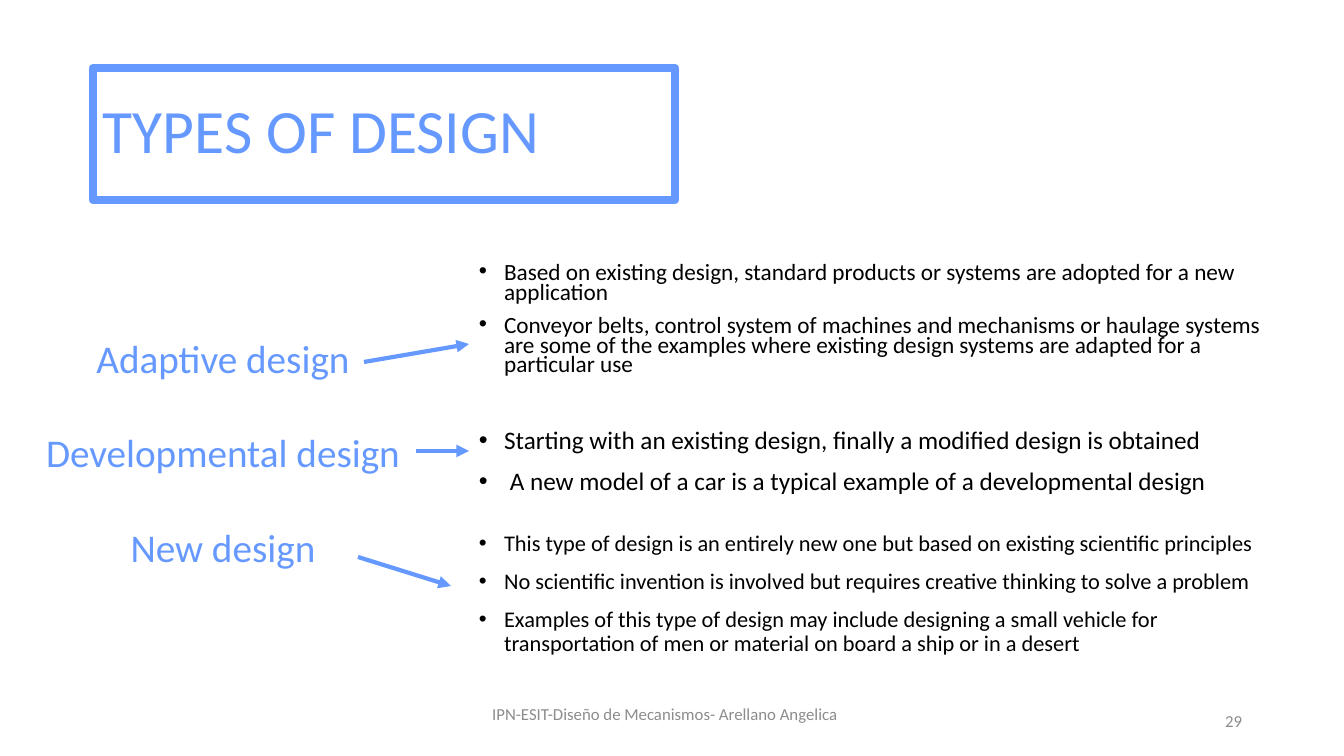
from pptx import Presentation
from pptx.dml.color import RGBColor
from pptx.enum import shapes, text
from pptx.oxml import parse_xml
from pptx.oxml import ns
from pptx.util import Pt

SCALE = 12192000 / 1344
BLUE, BLACK, GRAY = "6699FF", "000000", "8C8C8C"
ALIGN, ANCHOR = text.PP_ALIGN, text.MSO_ANCHOR


def px(*values):
    return [round(v * SCALE) for v in values]


def write(s, lines, size, color, align=ALIGN.LEFT, anchor=ANCHOR.TOP,
          spacing=1.0, before=0, bullet=False):
    tf = s.text_frame
    tf.word_wrap = True
    tf.vertical_anchor = anchor
    for i, line in enumerate(lines):
        p = tf.add_paragraph() if i else tf.paragraphs[0]
        p.alignment = align
        p.line_spacing = spacing
        p.space_before = Pt(before if i else 0)
        if bullet:
            pPr = p._p.get_or_add_pPr()
            pPr.set("marL", "228600")
            pPr.set("indent", "-228600")
            pPr.append(parse_xml(f'<a:buFont {ns.nsdecls("a")} typeface="Arial"/>'))
            pPr.append(parse_xml(f'<a:buChar {ns.nsdecls("a")} char="•"/>'))
        r = p.add_run()
        r.text = line
        r.font.name = "Calibri"
        r.font.size = Pt(size)
        r.font.color.rgb = RGBColor.from_string(color)


prs = Presentation()
prs.slide_width, prs.slide_height = px(1344, 756)
slide = prs.slides.add_slide(prs.slide_layouts[6])

title = slide.shapes.add_shape(shapes.MSO_SHAPE.RECTANGLE, *px(93, 68, 582, 132))
title.shadow.inherit = False
title.fill.background()
title.line.color.rgb = RGBColor.from_string(BLUE)
title.line.width = Pt(6)
title.line._get_or_add_ln().append(parse_xml(f'<a:round {ns.nsdecls("a")}/>'))
write(title, ["TYPES OF DESIGN"], 44, BLUE, anchor=ANCHOR.MIDDLE, spacing=0.9)

labels = slide.shapes.add_textbox(*px(0, 329, 446, 247))
write(labels, ["Adaptive design", "Developmental design", "New design"],
      28, BLUE, align=ALIGN.CENTER, before=34)

bodies = [
    (260, 120, 16.6, 0.7, [
        "Based on existing design, standard products or systems are adopted for a new application",
        "Conveyor belts, control system of machines and mechanisms or haulage systems are some of "
        "the examples where existing design systems are adapted for a particular use"]),
    (423, 80, 18, 0.9, [
        "Starting with an existing design, finally a modified design is obtained",
        " A new model of a car is a typical example of a developmental design"]),
    (527, 151, 16, 0.9, [
        "This type of design is an entirely new one but based on existing scientific principles",
        "No scientific invention is involved but requires creative thinking to solve a problem",
        "Examples of this type of design may include designing a small vehicle for "
        "transportation of men or material on board a ship or in a desert"]),
]
for top, height, size, spacing, lines in bodies:
    s = slide.shapes.add_textbox(*px(469, top, 827, height))
    write(s, lines, size, BLACK, spacing=spacing, before=10, bullet=True)

arrows = [(364, 362, 469, 344), (416, 451, 469, 451), (358, 557, 451, 586)]
for ends in arrows:
    c = slide.shapes.add_connector(shapes.MSO_CONNECTOR.STRAIGHT, *px(*ends))
    c.line.color.rgb = RGBColor.from_string(BLUE)
    c.line.width = Pt(3)
    c.line._get_or_add_ln().append(
        parse_xml(f'<a:tailEnd {ns.nsdecls("a")} type="triangle"/>'))
    c._element.spPr.append(parse_xml(f'<a:effectLst {ns.nsdecls("a")}/>'))

footer = slide.shapes.add_textbox(*px(438, 694, 454, 40))
write(footer, ["IPN-ESIT-Diseño de Mecanismos- Arellano Angelica"], 12, GRAY,
      align=ALIGN.CENTER, anchor=ANCHOR.MIDDLE)
number = slide.shapes.add_textbox(*px(950, 701, 302, 40))
write(number, ["29"], 12, GRAY, align=ALIGN.RIGHT, anchor=ANCHOR.MIDDLE)

prs.save("out.pptx")
